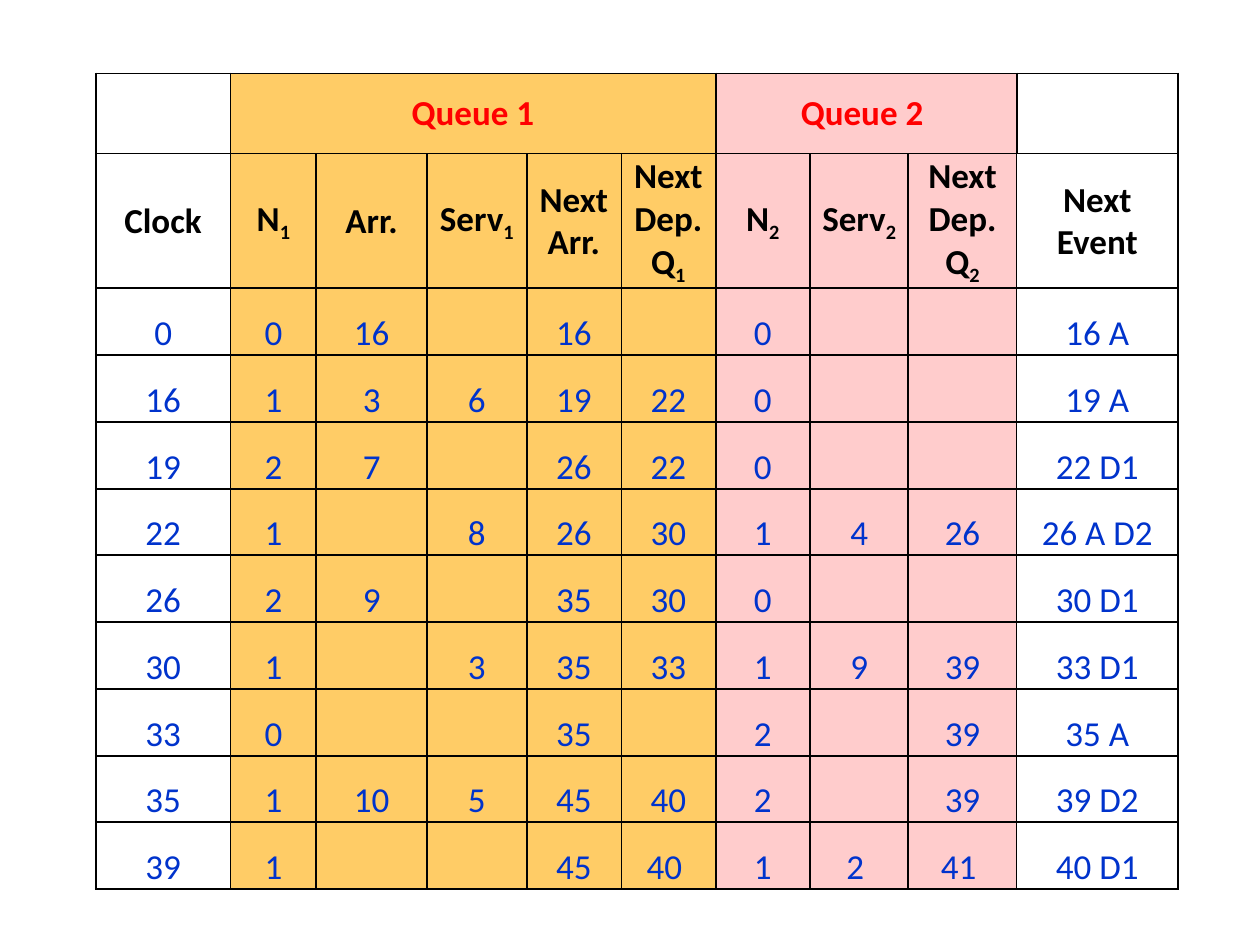
import pptx
import pptx.util
import pptx.dml.color
import pptx.enum.text
from pptx.oxml.ns import qn
from lxml import etree

Inches, Pt = pptx.util.Inches, pptx.util.Pt
PP_ALIGN, ANCHOR = pptx.enum.text.PP_ALIGN, pptx.enum.text.MSO_ANCHOR

# Content: "_" puts the rest of a heading in subscript
GROUPS = [("Queue 1", 1, 5, "FFCC66"), ("Queue 2 ", 6, 8, "FFCCCC")]
HEADINGS = ["Clock", "N_1", "Arr.", "Serv_1", "Next Arr.", "Next Dep. Q_1",
            "N_2", "Serv_2", "Next Dep. Q_2", "Next\nEvent"]
EVENTS = [
    ["0", "0", "16", "", "16", "", "0", "", "", "16 A"],
    ["16", "1", "3", "6", "19", "22", "0", "", "", "19 A"],
    ["19", "2", "7", "", "26", "22", "0", "", "", "22 D1"],
    ["22", "1", "", "8", "26", "30", "1", "4", "26", "26 A D2"],
    ["26", "2", "9", "", "35", "30", "0", "", "", "30 D1"],
    ["30", "1", "", "3", "35", "33", "1", "9", "39", "33 D1"],
    ["33", "0", "", "", "35", "", "2", "", "39", "35 A"],
    ["35", "1", "10", "5", "45", "40", "2", "", "39", "39 D2"],
    ["39", "1", "", "", "45", "40 ", "1", "2 ", "41 ", "40 D1"],
]
COL_WIDTHS = [1.07, 0.68, 0.88, 0.79, 0.75, 0.75, 0.75, 0.78, 0.86, 1.28]
ROW_HEIGHTS = [0.64, 1.06] + [0.53] * len(EVENTS)
THIN_ROW_LINES, THIN_COL_LINES = {0, 1}, {5, 9}


def rgb(hex_color):
    return pptx.dml.color.RGBColor.from_string(hex_color)


def write(cell, text, color, bold, anchor):
    cell.vertical_anchor = anchor
    tf = cell.text_frame
    for i, line in enumerate(text.split("\n")):
        p = tf.add_paragraph() if i else tf.paragraphs[0]
        p.alignment = PP_ALIGN.CENTER
        p.font.name, p.font.size, p.font.bold = "Calibri", Pt(20), bold
        p.font.color.rgb = rgb(color)
        base, _, subscript = line.partition("_")
        if base:
            p.add_run().text = base
        if subscript:
            r = p.add_run()
            r.text = subscript
            r.font._element.set("baseline", "-25000")


def add_borders(cell, row, col):
    tc_pr = cell._tc.get_or_add_tcPr()
    sides = [("a:lnL", col in THIN_COL_LINES), ("a:lnR", col + 1 in THIN_COL_LINES),
             ("a:lnT", row in THIN_ROW_LINES), ("a:lnB", row + 1 in THIN_ROW_LINES)]
    for i, (tag, thin) in enumerate(sides):
        ln = etree.Element(qn(tag), w=str(Pt(0.5 if thin else 1.25)))
        fill = etree.SubElement(ln, qn("a:solidFill"))
        etree.SubElement(fill, qn("a:srgbClr"), val="000000")
        tc_pr.insert(i, ln)


prs = pptx.Presentation()
prs.slide_width, prs.slide_height = Inches(10), Inches(7.5)
s = prs.slides.add_slide(prs.slide_layouts[6])

# Table grid
table = s.shapes.add_table(len(ROW_HEIGHTS), len(COL_WIDTHS), Inches(0.76), Inches(0.58),
                           Inches(sum(COL_WIDTHS)), Inches(sum(ROW_HEIGHTS))).table
table.first_row = table.horz_banding = False
for column, width in zip(table.columns, COL_WIDTHS):
    column.width = Inches(width)
for table_row, height in zip(table.rows, ROW_HEIGHTS):
    table_row.height = Inches(height)

# Fills, margins and borders
col_fills = {c: fill for _, first, last, fill in GROUPS for c in range(first, last + 1)}
for row in range(len(ROW_HEIGHTS)):
    for col in range(len(COL_WIDTHS)):
        cell = table.cell(row, col)
        cell.margin_left = cell.margin_right = cell.margin_top = Inches(0.01)
        cell.margin_bottom = 0
        if col in col_fills:
            cell.fill.solid()
            cell.fill.fore_color.rgb = rgb(col_fills[col])
        else:
            cell.fill.background()
        add_borders(cell, row, col)

# Queue titles, column headings and event rows
for title, first, last, _ in GROUPS:
    table.cell(0, first).merge(table.cell(0, last))
    write(table.cell(0, first), title, "FF0000", True, ANCHOR.MIDDLE)
for col, heading in enumerate(HEADINGS):
    write(table.cell(1, col), heading, "000000", True, ANCHOR.MIDDLE)
for row, event in enumerate(EVENTS, start=2):
    for col, value in enumerate(event):
        write(table.cell(row, col), value, "0033CC", False, ANCHOR.BOTTOM)

prs.save("out.pptx")
